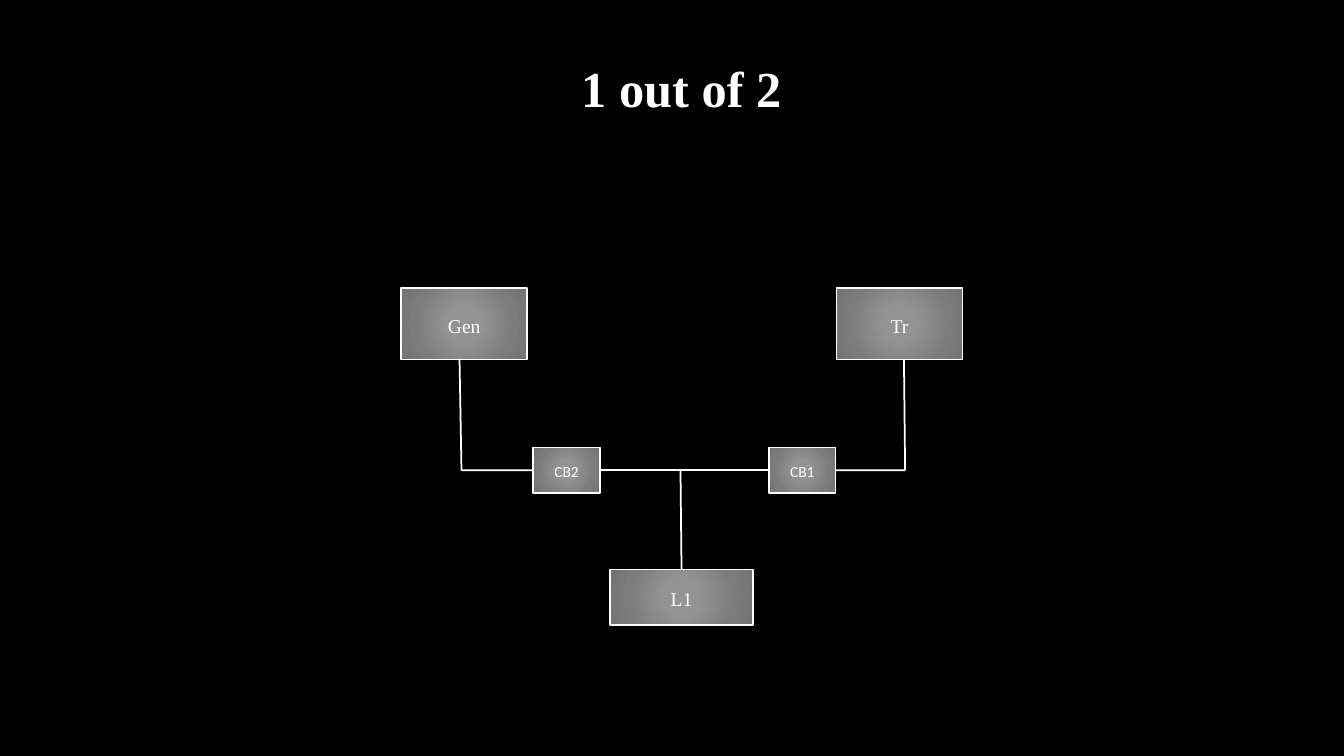
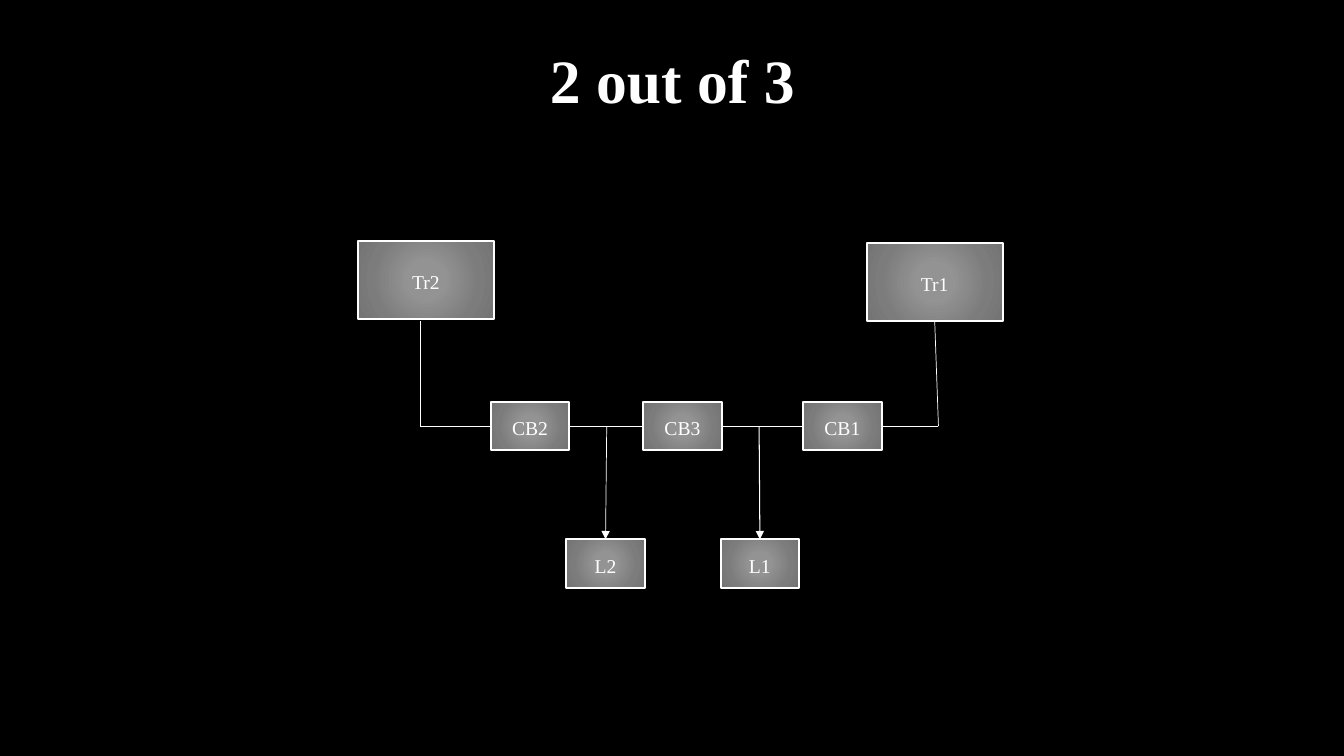
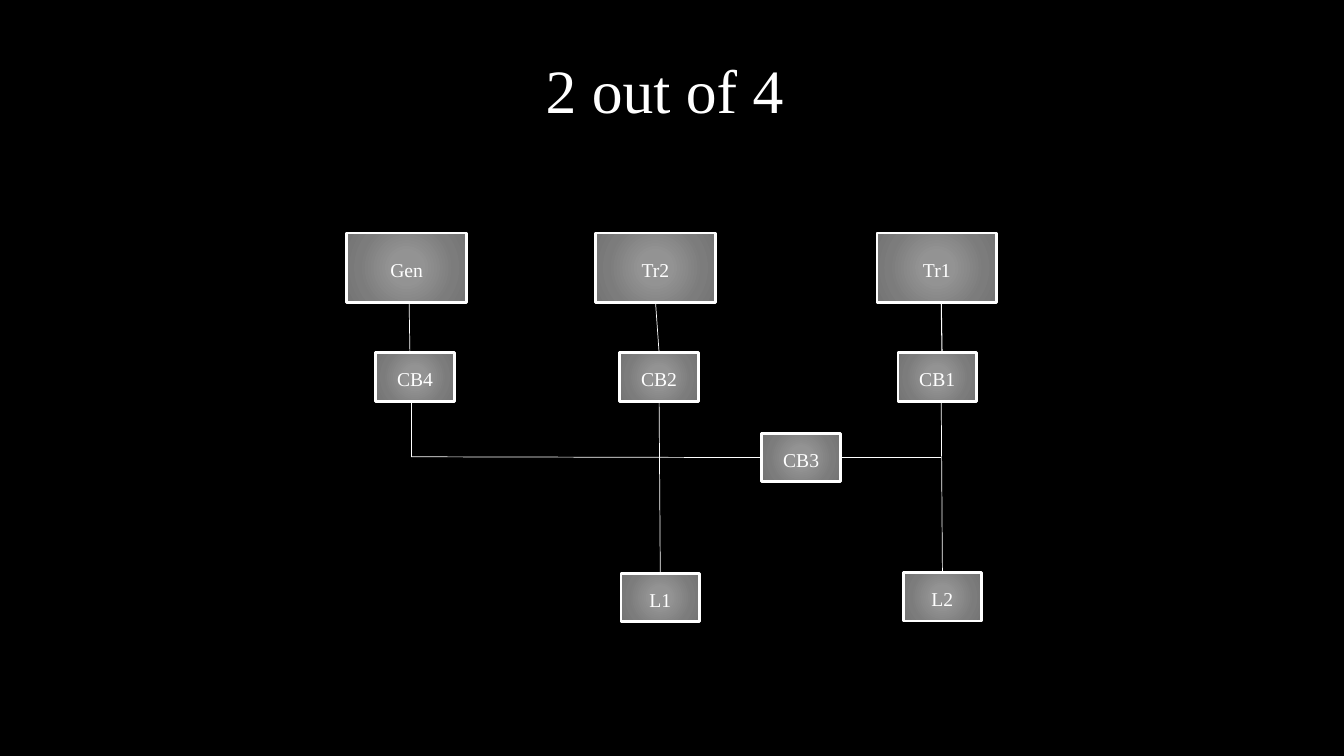
from dataclasses import dataclass

from lxml import etree
from pptx import Presentation
from pptx import util as u
from pptx.dml.color import RGBColor
from pptx.enum import shapes, text
from pptx.oxml import ns

TOP, LEFT, BOTTOM, RIGHT = range(4)


@dataclass(frozen=True)
class Theme:
    ground: str = "000000"
    ink: str = "FFFFFF"
    shades: tuple = ((0, "939393"), (23, "939393"), (69, "7C7C7C"), (97, "747474"))
    serif: str = "Times New Roman"
    sans: str = "Calibri"
    label: int = 14
    small_label: int = 11
    title: int = 44
    small_title: int = 36
    fine: float = 0.5
    thin: float = 0.75


class Diagram:
    """Draws breaker diagrams in one shared style on the current slide."""

    def __init__(self, theme):
        self.theme = theme
        self.deck = Presentation()
        self.deck.slide_width, self.deck.slide_height = u.Cm(33.87), u.Cm(19.05)
        ground = self.deck.slide_master.background.fill
        ground.solid()
        ground.fore_color.rgb = RGBColor.from_string(theme.ground)

    def start(self, border):
        self.border = border
        self.slide = self.deck.slides.add_slide(self.deck.slide_layouts[6])

    def letter(self, frame, words, size, font, bold=False, spacing=1.0, after=0):
        frame.word_wrap = True
        line = frame.paragraphs[0]
        line.alignment = text.PP_ALIGN.CENTER
        line.line_spacing = spacing
        line.space_after = u.Pt(after)
        run = line.add_run()
        run.text = words
        run.font.size, run.font.name, run.font.bold = u.Pt(size), font, bold
        run.font.color.rgb = RGBColor.from_string(self.theme.ink)

    def title(self, words, place, size, bold=True, inset=0.13, spacing=1.0):
        frame = self.slide.shapes.add_textbox(*map(u.Cm, place)).text_frame
        frame.margin_top = u.Cm(inset)
        self.letter(frame, words, size, self.theme.serif, bold, spacing)

    def stroke(self, line, width):
        line.color.rgb = RGBColor.from_string(self.theme.ink)
        line.width = u.Pt(width)

    def shade(self, block):
        block.fill.gradient()
        gradient = block._element.spPr.find(ns.qn("a:gradFill"))
        for part in list(gradient):
            gradient.remove(part)
        stops = etree.SubElement(gradient, ns.qn("a:gsLst"))
        for percent, colour in self.theme.shades:
            stop = etree.SubElement(stops, ns.qn("a:gs"), pos=str(percent * 1000))
            etree.SubElement(stop, ns.qn("a:srgbClr"), val=colour)
        circle = etree.SubElement(gradient, ns.qn("a:path"), {"path": "circle"})
        etree.SubElement(circle, ns.qn("a:fillToRect"),
                         dict.fromkeys("ltrb", "50000"))

    def block(self, name, at, size, points=None, font=None):
        block = self.slide.shapes.add_shape(
            shapes.MSO_SHAPE.RECTANGLE, *map(u.Cm, at + size))
        block.shadow.inherit = False
        self.shade(block)
        self.stroke(block.line, self.border)
        block.text_frame.vertical_anchor = text.MSO_ANCHOR.MIDDLE
        self.letter(block.text_frame, name, points or self.theme.label,
                    font or self.theme.serif, spacing=1.15, after=10)
        return block

    def wire(self, start, end, width, arrow=False):
        ends = [point if isinstance(point[0], (int, float)) else (0, 0)
                for point in (start, end)]
        wire = self.slide.shapes.add_connector(
            shapes.MSO_CONNECTOR.STRAIGHT, *map(u.Cm, ends[0] + ends[1]))
        for point, free, join in zip((start, end), ends,
                                     (wire.begin_connect, wire.end_connect)):
            if point is not free:
                join(*point)
        self.stroke(wire.line, width)
        outline = wire._element.spPr
        if arrow:
            etree.SubElement(outline.find(ns.qn("a:ln")), ns.qn("a:tailEnd"),
                             type="triangle")
        etree.SubElement(outline, ns.qn("a:effectLst"))


def one_of_two(d):
    d.start(border=1.25)
    source, breaker, level = (3.18, 1.8), (1.68, 1.14), 11.85
    d.block("Gen", (10.11, 7.26), source)
    d.block("Tr", (21.08, 7.26), source)
    cb2, cb1 = (
        d.block(name, (x, level - breaker[1] / 2), breaker,
                d.theme.small_label, d.theme.sans)
        for name, x in (("CB2", 13.44), ("CB1", 19.38)))
    load = d.block("L1", (15.37, 14.35), (3.61, 1.4))
    left, right = (11.63, level), (22.81, level)
    for start, end in (
            ((11.58, 9.04), left), (left, (cb2, LEFT)),
            ((cb2, RIGHT), (cb1, LEFT)), ((cb1, RIGHT), right),
            ((22.78, 9.06), right), ((17.15, level), (load, TOP))):
        d.wire(start, end, d.border)
    d.title("1 out of 2", (10.97, 1.32, 12.4, 2.57), d.theme.small_title)


def two_of_three(d):
    d.start(border=1.5)
    source, small, level = (3.43, 1.96), (1.98, 1.22), 10.74
    d.title("2 out of 3", (2.34, 1.02, 29.21, 3.68), d.theme.title,
            inset=0.25, spacing=0.9)
    l2, l1 = (d.block(name, (x, 13.59), small)
              for name, x in (("L2", 14.27), ("L1", 18.16)))
    d.block("Tr2", (9.02, 6.07), source)
    tr1 = d.block("Tr1", (21.84, 6.12), source)
    cb2, cb3, cb1 = (
        d.block(name, (x, level - small[1] / 2), small)
        for name, x in (("CB2", 12.37), ("CB3", 16.21), ("CB1", 20.24)))
    left, right = (10.59, level), (23.65, level)
    fine, thin = d.theme.fine, d.theme.thin
    for start, end, width in (
            ((10.59, 8.1), left, fine), ((tr1, BOTTOM), right, fine),
            (left, (cb2, LEFT), fine), ((cb3, RIGHT), (cb1, LEFT), thin),
            ((cb1, RIGHT), right, thin), ((cb2, RIGHT), (cb3, LEFT), thin)):
        d.wire(start, end, width)
    d.wire((15.29, level), (l2, TOP), fine, arrow=True)
    d.wire((19.13, level), (l1, TOP), thin, arrow=True)


def two_of_four(d):
    d.start(border=2)
    source, small = (3.02, 1.75), (1.98, 1.22)
    tr2, *_ = [
        d.block(name, (x, 5.87), source)
        for name, x in (("Tr2", 15.01), ("Tr1", 22.1), ("Gen", 8.74))]
    cb2, *_ = [
        d.block(name, (x, 8.89), small)
        for name, x in (("CB2", 15.62), ("CB1", 22.63), ("CB4", 9.47))]
    cb3 = d.block("CB3", (19.2, 10.92), small)
    l1 = d.block("L1", (15.65, 14.45), small)
    l2 = d.block("L2", (22.76, 14.43), small)
    fine, thin = d.theme.fine, d.theme.thin
    for start, end, width in (
            ((10.31, 7.62), (10.33, 8.87), fine),
            ((tr2, BOTTOM), (cb2, TOP), fine),
            ((23.72, 7.62), (23.74, 8.87), thin),
            ((10.36, 10.16), (10.36, 11.51), fine),
            ((10.36, 11.51), (cb3, LEFT), fine),
            ((cb3, RIGHT), (23.72, 11.53), thin),
            ((cb2, BOTTOM), (l1, TOP), fine),
            ((23.72, 10.16), (l2, TOP), fine)):
        d.wire(start, end, width)
    d.title("2 out of 4", (10.36, 1.19, 12.78, 2.13), d.theme.title, bold=False)


def main():
    diagram = Diagram(Theme())
    for draw in (one_of_two, two_of_three, two_of_four):
        draw(diagram)
    diagram.deck.save("out.pptx")


if __name__ == "__main__":
    main()
